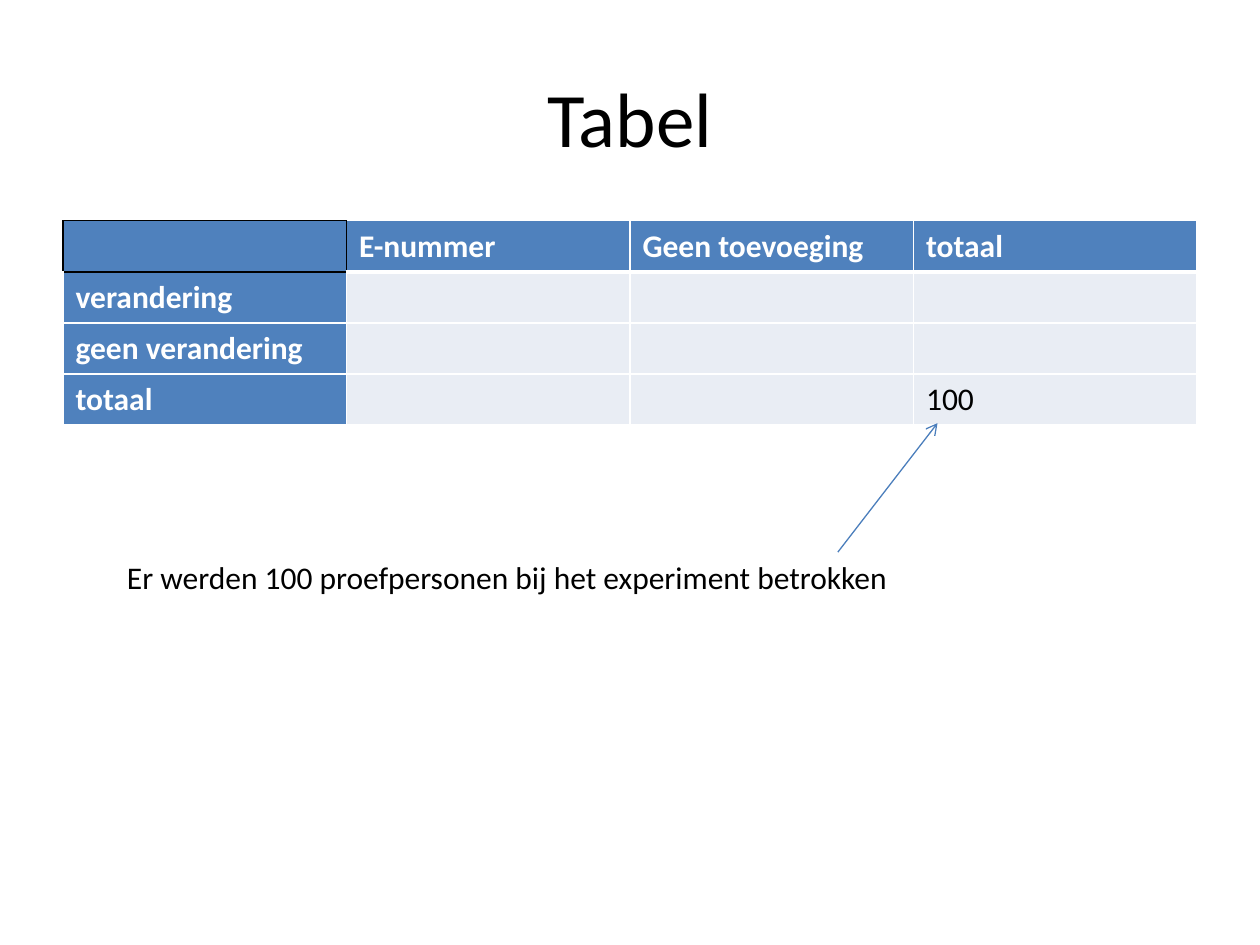
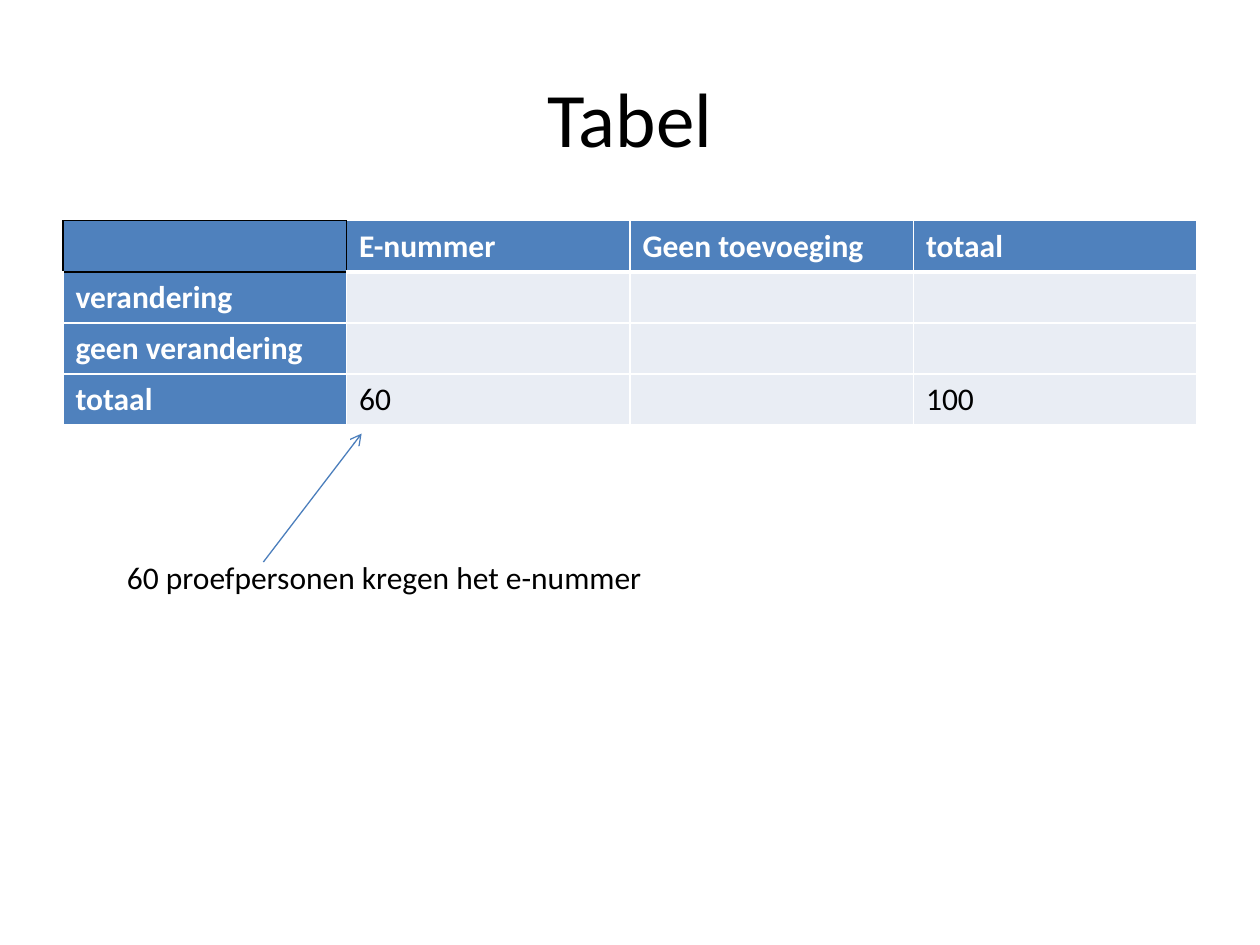
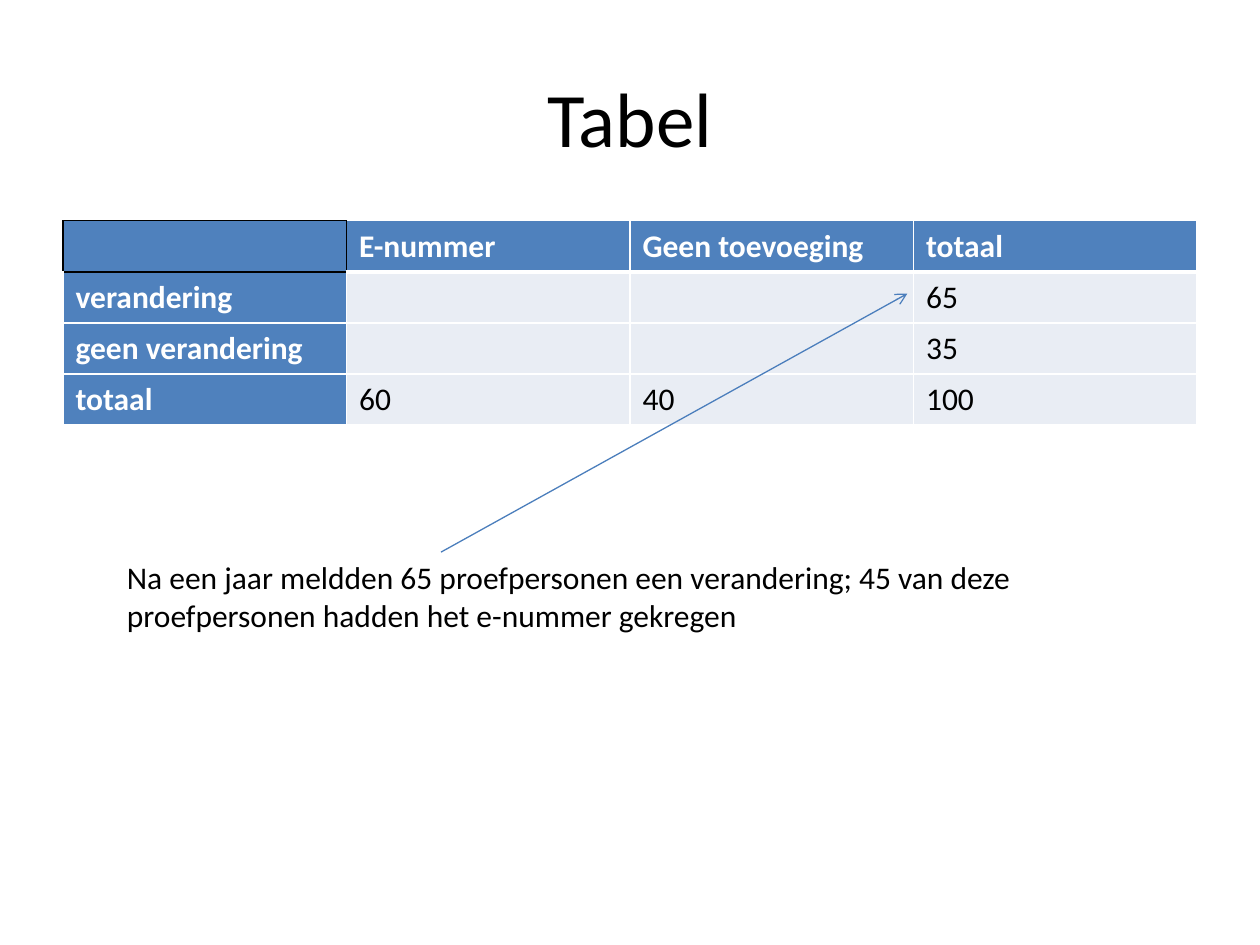
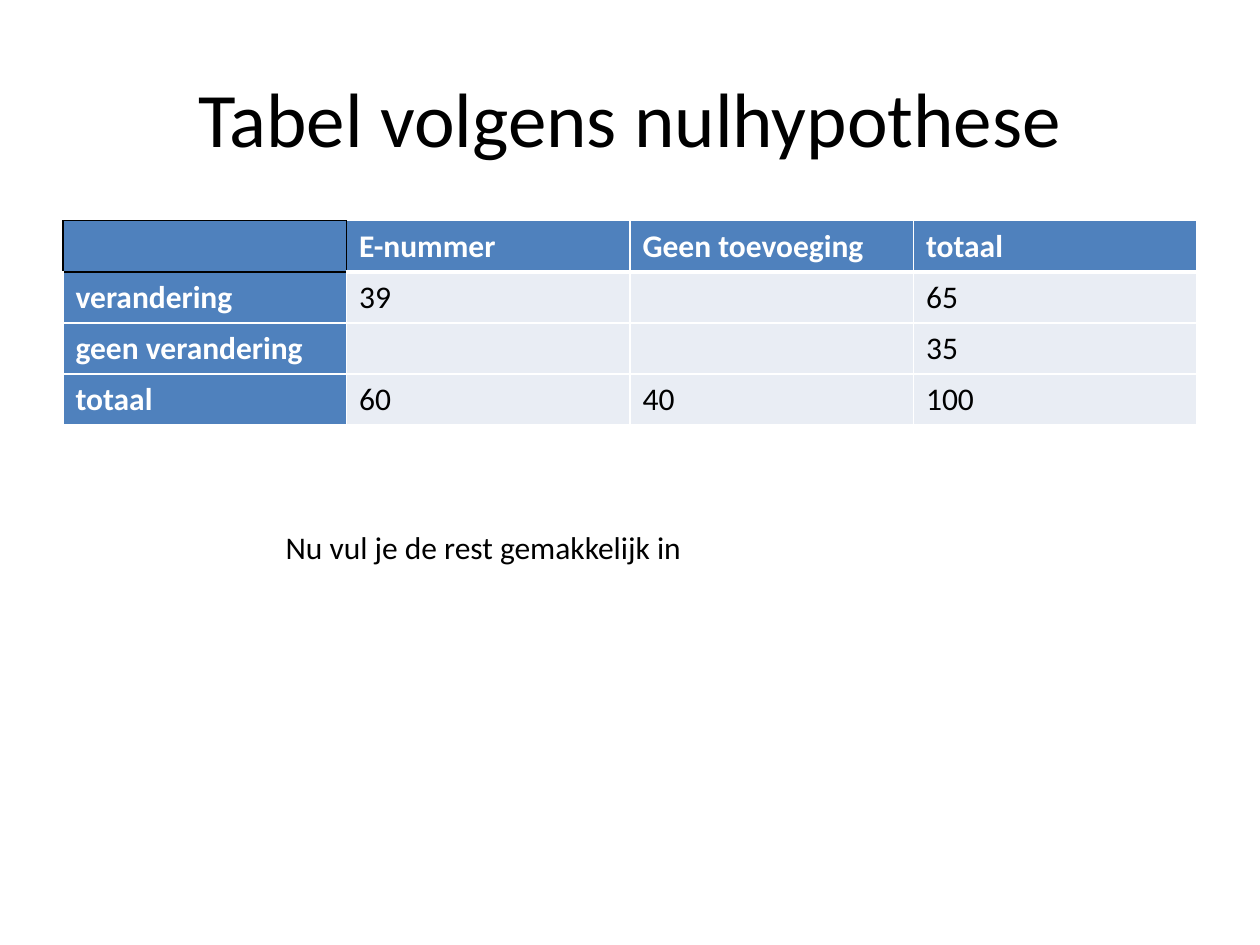
from dataclasses import dataclass

from lxml import etree
from pptx import Presentation
from pptx.dml.color import RGBColor
from pptx.enum.shapes import MSO_CONNECTOR
from pptx.enum.text import MSO_ANCHOR, MSO_AUTO_SIZE, PP_ALIGN
from pptx.oxml.ns import qn
from pptx.util import Cm, Pt

STRAIGHT = MSO_CONNECTOR.STRAIGHT
MIDDLE, TOP = MSO_ANCHOR.MIDDLE, MSO_ANCHOR.TOP
CENTER, LEFT = PP_ALIGN.CENTER, PP_ALIGN.LEFT
GROW, FIXED = MSO_AUTO_SIZE.SHAPE_TO_FIT_TEXT, MSO_AUTO_SIZE.NONE

FONT = "Calibri"
BLACK, WHITE = "000000", "FFFFFF"
HEADER_BLUE, BODY_TINT, ARROW_BLUE = "4F81BD", "E9EDF4", "4B7EBC"

COLUMNS = ["", "E-nummer", "Geen toevoeging", "totaal"]
ROWS = ["verandering", "geen verandering", "totaal"]
ROW_HEIGHT = 1.03


@dataclass(frozen=True)
class Box:
    left: float
    top: float
    width: float
    height: float


@dataclass(frozen=True)
class Arrow:
    x1: float
    y1: float
    x2: float
    y2: float


@dataclass(frozen=True)
class TableSlide:
    title: str
    values: list[list[str]]
    note: str
    note_box: Box
    arrow: Arrow | None = None


TITLE_BOX = Box(1.27, 0.76, 22.86, 3.18)
TABLE_BOX = Box(1.27, 4.45, 22.86, ROW_HEIGHT * (len(ROWS) + 1))
NOTE_BOX = Box(2.31, 11.13, 18.59, 1.8)
LAST_NOTE_BOX = Box(5.51, 10.52, 14.2, 1.02)

SLIDES = [
    TableSlide("Tabel",
               [["", "", ""], ["", "", ""], ["", "", "100"]],
               "Er werden 100 proefpersonen bij het experiment betrokken",
               NOTE_BOX, Arrow(16.89, 11.13, 18.9, 8.53)),
    TableSlide("Tabel",
               [["", "", ""], ["", "", ""], ["60", "", "100"]],
               "60 proefpersonen kregen het e-nummer",
               NOTE_BOX, Arrow(5.31, 11.33, 7.29, 8.74)),
    TableSlide("Tabel",
               [["", "", "65"], ["", "", "35"], ["60", "40", "100"]],
               "Na een jaar meldden 65 proefpersonen een verandering; 45 van deze "
               "proefpersonen hadden het e-nummer gekregen",
               NOTE_BOX, Arrow(8.89, 11.13, 18.29, 5.92)),
    TableSlide("Tabel volgens nulhypothese",
               [["39", "", "65"], ["", "", "35"], ["60", "40", "100"]],
               "Nu vul je de rest gemakkelijk in", LAST_NOTE_BOX),
]


def rgb(color: str) -> RGBColor:
    return RGBColor.from_string(color)


def box_cm(box: Box) -> list[Cm]:
    return [Cm(v) for v in (box.left, box.top, box.width, box.height)]


def write(tf, text: str, *, size: float = 18, color: str = BLACK,
          bold: bool = False, align=LEFT) -> None:
    p = tf.paragraphs[0]
    p.alignment = align
    r = p.add_run()
    r.text = text
    r.font.name = FONT
    r.font.size = Pt(size)
    r.font.bold = bold
    r.font.color.rgb = rgb(color)


def add_text(s, box: Box, text: str, *, anchor=TOP, auto_size=FIXED, **fmt) -> None:
    tf = s.shapes.add_textbox(*box_cm(box)).text_frame
    tf.word_wrap = True
    tf.auto_size = auto_size
    tf.vertical_anchor = anchor
    write(tf, text, **fmt)


def set_border(cell, side: str, color: str, width: float) -> None:
    ln = etree.SubElement(cell._tc.get_or_add_tcPr(), qn(f"a:ln{side}"), w=str(Pt(width)))
    fill = etree.SubElement(ln, qn("a:solidFill"))
    etree.SubElement(fill, qn("a:srgbClr"), val=color)


def set_borders(cell, row: int, col: int) -> None:
    """White grid, thick under the header, with a black frame on the corner cell."""
    corner = row == col == 0
    black_sides = {(0, 0): "LRTB", (0, 1): "L", (1, 0): "T"}.get((row, col), "")
    for side in "LRTB":
        under_header = side == "B" and row == 0 or side == "T" and row == 1
        width = 3 if under_header and col > 0 and not corner else 1
        set_border(cell, side, BLACK if side in black_sides else WHITE, width)


def add_table(s, values: list[list[str]]) -> None:
    grid = [COLUMNS] + [[name, *line] for name, line in zip(ROWS, values)]
    table = s.shapes.add_table(len(grid), len(COLUMNS), *box_cm(TABLE_BOX)).table
    table.first_row = table.horz_banding = False
    for i, line in enumerate(grid):
        for j, text in enumerate(line):
            cell = table.cell(i, j)
            header = i == 0 or j == 0
            set_borders(cell, i, j)
            cell.fill.solid()
            cell.fill.fore_color.rgb = rgb(HEADER_BLUE if header else BODY_TINT)
            if text:
                write(cell.text_frame, text, color=WHITE if header else BLACK, bold=header)


def add_arrow(s, arrow: Arrow) -> None:
    ends = [Cm(v) for v in (arrow.x1, arrow.y1, arrow.x2, arrow.y2)]
    line = s.shapes.add_connector(STRAIGHT, *ends)
    line.line.color.rgb = rgb(ARROW_BLUE)
    line.line.width = Pt(0.75)
    etree.SubElement(line.line._get_or_add_ln(), qn("a:tailEnd"), type="arrow")
    etree.SubElement(line._element.spPr, qn("a:effectLst"))


def add_slide(prs, spec: TableSlide) -> None:
    s = prs.slides.add_slide(prs.slide_layouts[6])
    add_text(s, TITLE_BOX, spec.title, anchor=MIDDLE, size=44, align=CENTER)
    add_table(s, spec.values)
    add_text(s, spec.note_box, spec.note, auto_size=GROW)
    if spec.arrow:
        add_arrow(s, spec.arrow)


def main() -> None:
    prs = Presentation()
    prs.slide_width, prs.slide_height = Cm(25.4), Cm(19.05)
    for spec in SLIDES:
        add_slide(prs, spec)
    prs.save("out.pptx")


if __name__ == "__main__":
    main()
